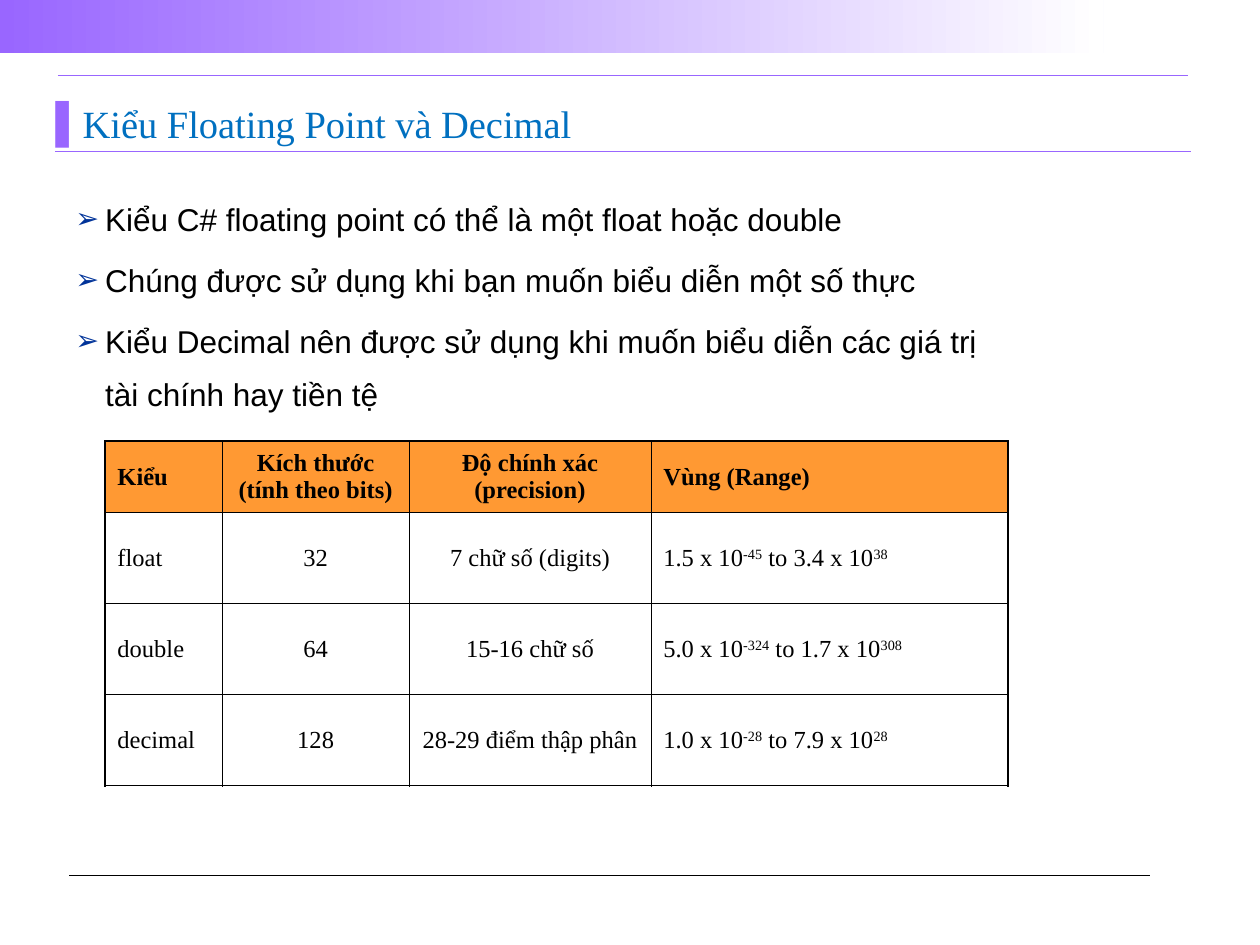
"""Build the slide on C# floating point and decimal types."""
import dataclasses
import lxml.etree
import pptx
import pptx.dml.color
import pptx.enum.shapes
import pptx.enum.text
import pptx.oxml.ns
import pptx.util

Pt = pptx.util.Pt
qn = pptx.oxml.ns.qn
ALIGN = pptx.enum.text.PP_ALIGN
ANCHOR = pptx.enum.text.MSO_ANCHOR


@dataclasses.dataclass(frozen=True)
class Theme:
    purple: str = "9966FF"
    white: str = "FFFFFF"
    black: str = "000000"
    title: str = "0070C0"
    bullet: str = "003399"
    header: str = "FF9933"
    sans: str = "Arial"
    serif: str = "Times New Roman"
    title_size: float = 22
    body_size: float = 18
    table_size: float = 14


theme = Theme()
rgb = pptx.dml.color.RGBColor.from_string


def add_run(paragraph, text, font_name, size, color, bold=False):
    run = paragraph.add_run()
    run.text = text
    run.font.name = font_name
    run.font.size = Pt(size)
    run.font.bold = bold
    run.font.color.rgb = rgb(color)
    return run


def set_bullet(paragraph, character, color, percent, indent):
    properties = paragraph._p.get_or_add_pPr()
    properties.set("marL", str(Pt(indent)))
    properties.set("indent", str(-Pt(indent)))
    bullet_color = lxml.etree.SubElement(properties, qn("a:buClr"))
    lxml.etree.SubElement(bullet_color, qn("a:srgbClr"), val=color)
    lxml.etree.SubElement(properties, qn("a:buSzPct"), val=str(percent * 1000))
    lxml.etree.SubElement(properties, qn("a:buFont"), typeface=theme.sans)
    lxml.etree.SubElement(properties, qn("a:buChar"), char=character)


presentation = pptx.Presentation()
presentation.slide_width = Pt(720)
presentation.slide_height = Pt(540)
slide = presentation.slides.add_slide(presentation.slide_layouts[5])

band = slide.shapes.add_shape(
    pptx.enum.shapes.MSO_SHAPE.RECTANGLE, Pt(0), Pt(0), Pt(630.7), Pt(30.6))
band.shadow.inherit = False
band.line.fill.background()
band.fill.gradient()
band.fill.gradient_angle = 0
for stop, position, color in zip(
        band.fill.gradient_stops, (0, 1), (theme.purple, theme.white)):
    stop.position = position
    stop.color.rgb = rgb(color)

rules = [
    (31.7, 680.4, 86.4, theme.purple, 0.5),
    (33.1, 679, 43.2, theme.purple, 0.75),
    (39.6, 657.4, 500.4, theme.black, 0.75),
]
for left, right, top, color, width in rules:
    rule = slide.shapes.add_connector(
        pptx.enum.shapes.MSO_CONNECTOR.STRAIGHT, Pt(left), Pt(top), Pt(right), Pt(top))
    rule.line.color.rgb = rgb(color)
    rule.line.width = Pt(width)
    lxml.etree.SubElement(rule._element.spPr, qn("a:effectLst"))

title = slide.shapes.title
title.left, title.top, title.width, title.height = Pt(31.7), Pt(56.9), Pt(620), Pt(26.6)
title_frame = title.text_frame
title_frame.auto_size = pptx.enum.text.MSO_AUTO_SIZE.NONE
title_frame.vertical_anchor = ANCHOR.BOTTOM
title_frame.margin_left = title_frame.margin_right = Pt(0)
title_frame.margin_top = title_frame.margin_bottom = Pt(0)
title_paragraph = title_frame.paragraphs[0]
title_paragraph.alignment = ALIGN.LEFT
set_bullet(title_paragraph, "▌", theme.purple, 100, 13.5)
add_run(title_paragraph, "Kiểu Floating Point và Decimal",
        theme.serif, theme.title_size, theme.title)

points = [
    "Kiểu C# floating point có thể là một float hoặc double",
    "Chúng được sử dụng khi bạn muốn biểu diễn một số thực",
    "Kiểu Decimal nên được sử dụng khi muốn biểu diễn các giá trị tài chính hay tiền tệ",
]
body = slide.shapes.add_textbox(Pt(36), Pt(102.2), Pt(534.2), Pt(138.2))
body.text_frame.word_wrap = True
for index, point in enumerate(points):
    paragraph = body.text_frame.add_paragraph() if index else body.text_frame.paragraphs[0]
    paragraph.line_spacing = 1.4
    paragraph.space_before = Pt(4.5)
    set_bullet(paragraph, "➢", theme.bullet, 90, 17)
    add_run(paragraph, point, theme.sans, theme.body_size, theme.black)

rows = [
    [["Kiểu"], ["Kích thước", "(tính theo bits)"],
     ["Độ chính xác", "(precision)"], ["Vùng (Range)"]],
    [["float"], ["32"], ["7 chữ số (digits)"], ["1.5 x 10^-45^ to 3.4 x 10^38"]],
    [["double"], ["64"], ["15-16 chữ số"], ["5.0 x 10^-324^ to 1.7 x 10^308"]],
    [["decimal"], ["128"], ["28-29 điểm thập phân"], ["1.0 x 10^-28^ to 7.9 x 10^28"]],
]
column_widths = [67, 106.8, 138.2, 204]
row_heights = [41, 52, 52, 52]
alignments = [ALIGN.LEFT, ALIGN.CENTER, ALIGN.CENTER, ALIGN.LEFT]
table = slide.shapes.add_table(
    len(rows), len(column_widths), Pt(60), Pt(252),
    Pt(sum(column_widths)), Pt(sum(row_heights))).table
table.horz_banding = False
for column, width in zip(table.columns, column_widths):
    column.width = Pt(width)
for row, height in zip(table.rows, row_heights):
    row.height = Pt(height)

for row_index, row in enumerate(rows):
    for column_index, lines in enumerate(row):
        cell = table.cell(row_index, column_index)
        outer_edges = {
            "a:lnL": column_index == 0,
            "a:lnR": column_index == len(column_widths) - 1,
            "a:lnT": row_index == 0,
            "a:lnB": row_index == len(rows) - 1,
        }
        for tag, outer in outer_edges.items():
            border = lxml.etree.SubElement(
                cell._tc.get_or_add_tcPr(), qn(tag), w=str(Pt(1.08 if outer else 0.45)))
            border_fill = lxml.etree.SubElement(border, qn("a:solidFill"))
            lxml.etree.SubElement(border_fill, qn("a:srgbClr"), val=theme.black)
        if row_index == 0:
            cell.fill.solid()
            cell.fill.fore_color.rgb = rgb(theme.header)
        else:
            cell.fill.background()
        cell.vertical_anchor = ANCHOR.MIDDLE
        cell.margin_left = cell.margin_right = Pt(7.1)
        for line_index, line in enumerate(lines):
            paragraph = (cell.text_frame.add_paragraph() if line_index
                         else cell.text_frame.paragraphs[0])
            paragraph.alignment = alignments[column_index]
            for part_index, part in enumerate(line.split("^")):
                run = add_run(paragraph, part, theme.serif, theme.table_size,
                              theme.black, bold=row_index == 0)
                if part_index % 2:
                    run._r.get_or_add_rPr().set("baseline", "30000")

presentation.save("out.pptx")
